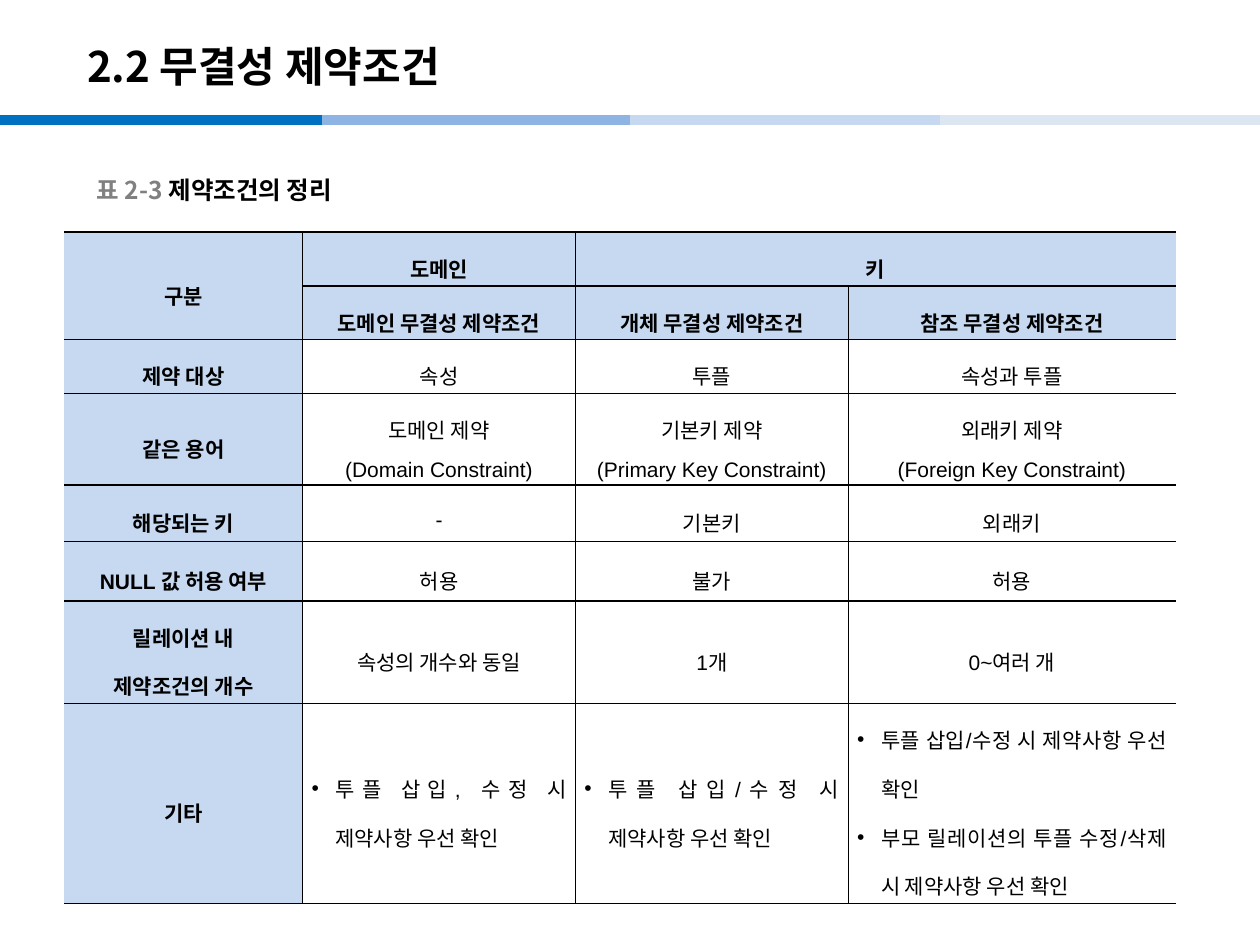
from dataclasses import dataclass
from typing import Optional

from lxml.etree import SubElement
from pptx import Presentation
from pptx.dml.color import RGBColor
from pptx.enum.shapes import MSO_CONNECTOR
from pptx.enum.text import MSO_ANCHOR, MSO_AUTO_SIZE, PP_ALIGN
from pptx.oxml.ns import qn
from pptx.util import Cm, Pt


@dataclass(frozen=True)
class Theme:
    ink: str = "000000"
    muted: str = "808080"
    head: str = "C6D9F1"
    bars: tuple = ("0070C0", "8EB4E3", "C6D9F1", "DCE6F2")
    korean: str = "Noto Sans CJK KR"
    latin: str = "Arial"
    title: int = 24
    caption: int = 14
    cell: int = 12


@dataclass(frozen=True)
class Bar:
    left: float
    color: str


@dataclass(frozen=True)
class Row:
    height: float
    texts: tuple
    header: bool = False
    bullets: bool = False


T = Theme()
BAR_WIDTH, BAR_Y = 6.5, 2.42
BARS = [Bar(x, c) for x, c in zip((0, 6.5, 12.7, 18.95), T.bars)]
COLUMNS = (4.8, 5.5, 5.5, 6.6)
ROWS = (
    Row(0.91, ("구분", "도메인", "키", None), header=True),
    Row(0.91, (None, "도메인 무결성 제약조건", "개체 무결성 제약조건",
               "참조 무결성 제약조건"), header=True),
    Row(0.99, ("제약 대상", "속성", "투플", "속성과 투플")),
    Row(1.85, ("같은 용어", "도메인 제약\n(Domain Constraint)",
               "기본키 제약\n(Primary Key Constraint)",
               "외래키 제약\n(Foreign Key Constraint)")),
    Row(1.14, ("해당되는 키", "-", "기본키", "외래키")),
    Row(1.2, ("NULL 값 허용 여부", "허용", "불가", "허용")),
    Row(2.01, ("릴레이션 내\n제약조건의 개수", "속성의 개수와 동일", "1개", "0~여러 개")),
    Row(3.05, ("기타", "투플 삽입, 수정 시 제약사항 우선 확인",
               "투플 삽입/수정 시 제약사항 우선 확인",
               "투플 삽입/수정 시 제약사항 우선 확인\n"
               "부모 릴레이션의 투플 수정/삭제 시 제약사항 우선 확인"), bullets=True),
)


def add_run(p, text: str, *, size: int, font: str = T.korean,
            color: str = T.ink, bold: bool = True) -> None:
    r = p.add_run()
    r.text = text
    r.font.size = Pt(size)
    r.font.bold = bold
    r.font.name = font
    r.font.color.rgb = RGBColor.from_string(color)
    SubElement(r.font._element, qn("a:ea"), typeface=T.korean)


def add_bar(s, bar: Bar) -> None:
    ln = s.shapes.add_connector(MSO_CONNECTOR.STRAIGHT, Cm(bar.left), Cm(BAR_Y),
                                Cm(bar.left + BAR_WIDTH), Cm(BAR_Y))
    ln.line.color.rgb = RGBColor.from_string(bar.color)
    ln.line.width = Pt(6)
    SubElement(ln._element.spPr, qn("a:effectLst"))


def add_bullet(p) -> None:
    pPr = p._p.get_or_add_pPr()
    pPr.set("marL", str(Cm(0.48)))
    pPr.set("indent", str(-Cm(0.48)))
    SubElement(pPr, qn("a:buFont"), typeface=T.latin)
    SubElement(pPr, qn("a:buChar"), char="•")


def set_borders(cell, first: bool, last: bool) -> None:
    tcPr = cell._tc.get_or_add_tcPr()
    for side, hidden in (("L", first), ("R", last), ("T", False), ("B", False)):
        ln = SubElement(tcPr, qn(f"a:ln{side}"), w=str(Pt(1)))
        if hidden:
            SubElement(ln, qn("a:noFill"))
        else:
            fill = SubElement(ln, qn("a:solidFill"))
            SubElement(fill, qn("a:srgbClr"), val=T.ink)


def fill_cell(cell, text: Optional[str], row: Row, col: int) -> None:
    label = row.header or col == 0
    if not cell.is_spanned:
        width = cell.span_width if cell.is_merge_origin else 1
        set_borders(cell, col == 0, col + width == len(COLUMNS))
    if label:
        cell.fill.solid()
        cell.fill.fore_color.rgb = RGBColor.from_string(T.head)
    else:
        cell.fill.background()
    cell.vertical_anchor = MSO_ANCHOR.MIDDLE
    cell.margin_left = cell.margin_right = Cm(0.18)
    cell.margin_top = cell.margin_bottom = Cm(0.05)
    if text is None:
        return
    tf = cell.text_frame
    bulleted = row.bullets and not label
    for i, line in enumerate(text.split("\n")):
        p = tf.add_paragraph() if i else tf.paragraphs[0]
        p.alignment = PP_ALIGN.JUSTIFY if bulleted else PP_ALIGN.CENTER
        p.line_spacing = 1.6
        if bulleted:
            add_bullet(p)
        add_run(p, line, size=T.cell, bold=label,
                font=T.korean if row.header else T.latin)


def add_constraint_table(s) -> None:
    frame = s.shapes.add_table(len(ROWS), len(COLUMNS), Cm(1.3), Cm(4.68),
                               Cm(sum(COLUMNS)), Cm(sum(r.height for r in ROWS)))
    table = frame.table
    table.first_row = table.horz_banding = False
    style = table._tbl.tblPr.find(qn("a:tableStyleId"))
    style.text = "{2D5ABB26-0587-4C30-8999-92F81FD0307C}"
    for column, width in zip(table.columns, COLUMNS):
        column.width = Cm(width)
    table.cell(0, 0).merge(table.cell(1, 0))
    table.cell(0, 2).merge(table.cell(0, 3))
    for i, row in enumerate(ROWS):
        table.rows[i].height = Cm(row.height)
        for j, text in enumerate(row.texts):
            fill_cell(table.cell(i, j), text, row, j)


def set_title(s, text: str) -> None:
    sp = s.shapes.title
    sp.left, sp.top, sp.width, sp.height = Cm(1.5), Cm(0.56), Cm(21), Cm(1.52)
    tf = sp.text_frame
    tf.auto_size = MSO_AUTO_SIZE.NONE
    tf.vertical_anchor = MSO_ANCHOR.MIDDLE
    p = tf.paragraphs[0]
    p.alignment = PP_ALIGN.LEFT
    add_run(p, text, size=T.title)


def add_caption(s, number: str, text: str) -> None:
    sp = s.shapes.add_textbox(Cm(1.7), Cm(3.43), Cm(6.5), Cm(0.79))
    tf = sp.text_frame
    tf.word_wrap = True
    tf.vertical_anchor = MSO_ANCHOR.MIDDLE
    p = tf.paragraphs[0]
    add_run(p, number, size=T.caption, color=T.muted)
    add_run(p, text, size=T.caption)


def main() -> None:
    prs = Presentation()
    prs.slide_width, prs.slide_height = Cm(25.4), Cm(19.05)
    s = prs.slides.add_slide(prs.slide_layouts[5])
    for bar in BARS:
        add_bar(s, bar)
    set_title(s, "2.2 무결성 제약조건")
    add_constraint_table(s)
    add_caption(s, "표 2-3 ", "제약조건의 정리")
    prs.save("out.pptx")


main()
